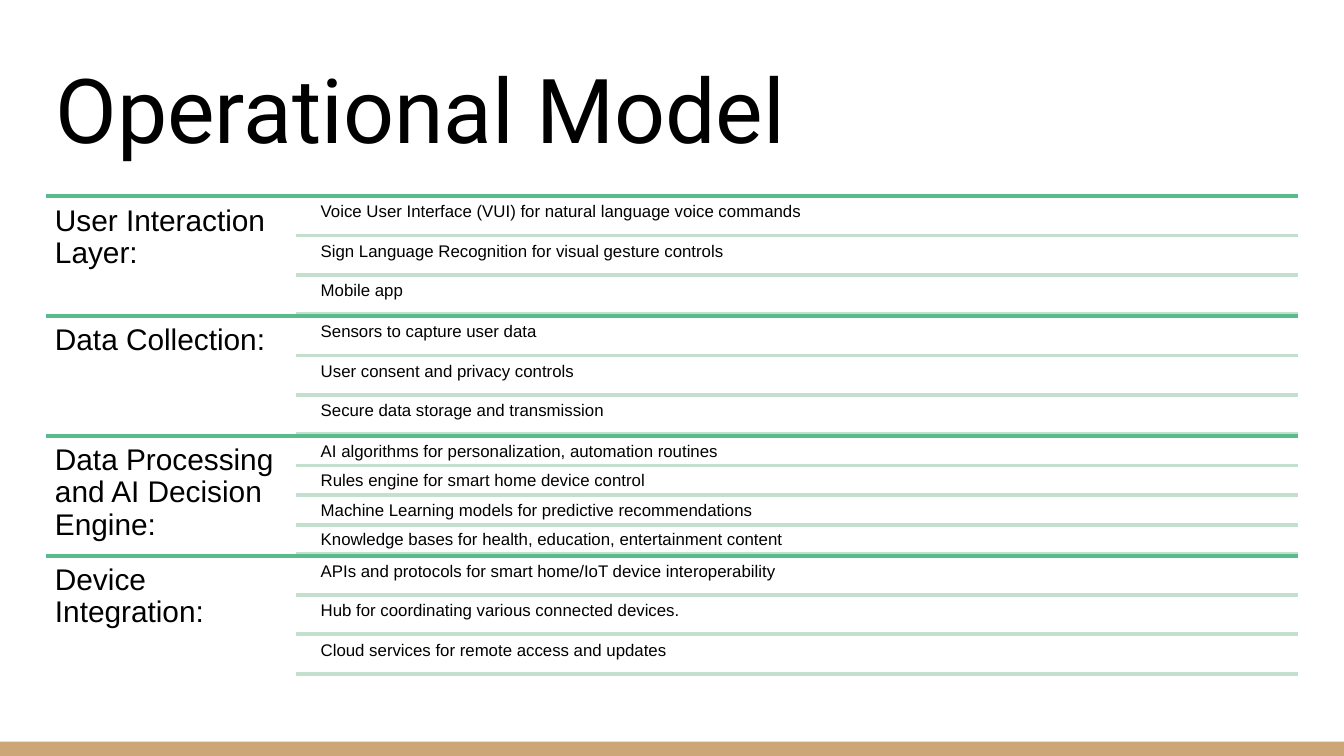
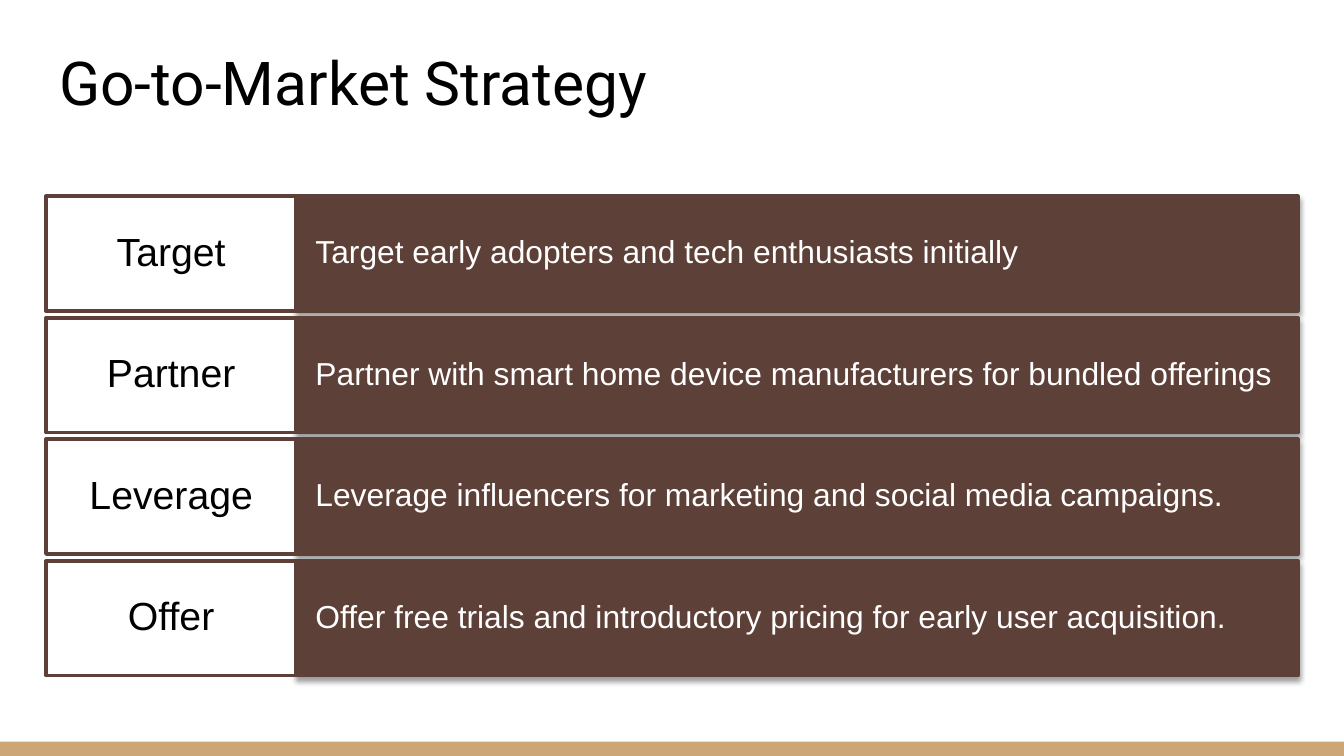
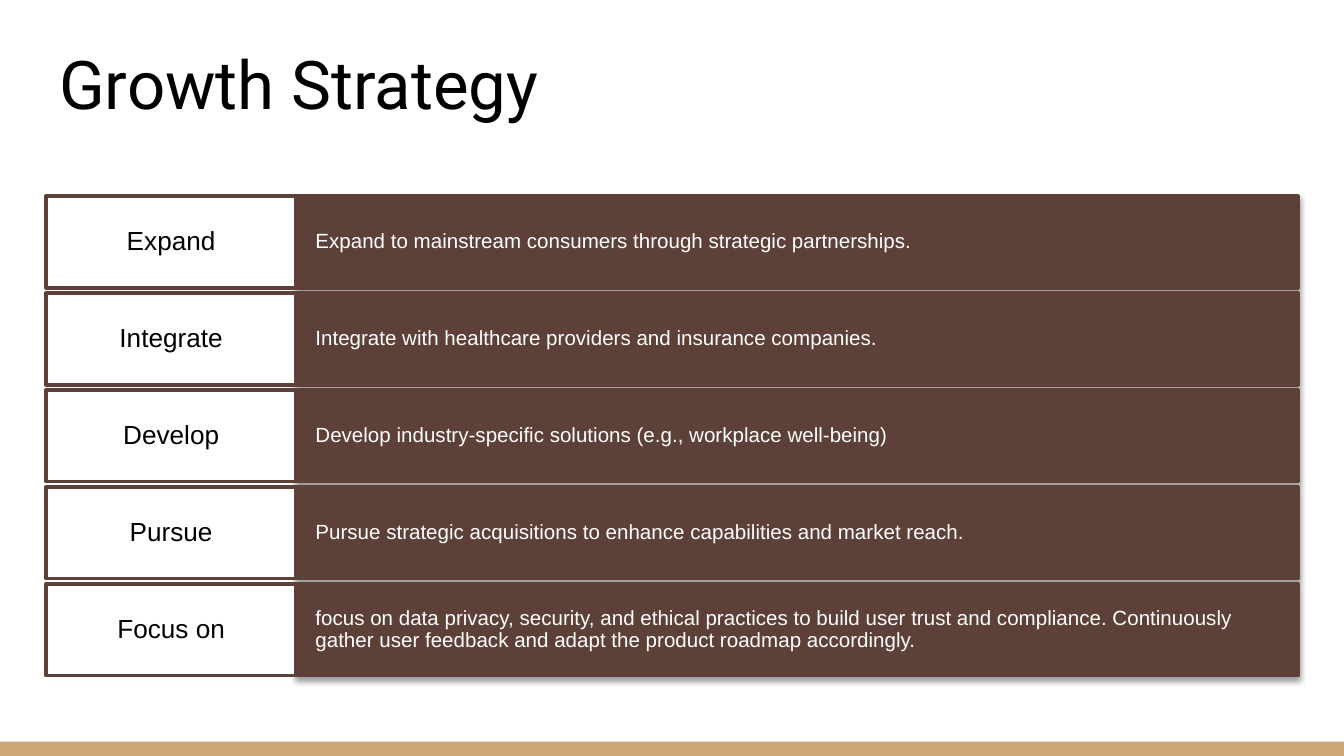
import pptx
import pptx.util
import pptx.dml.color
import pptx.enum.shapes
import pptx.enum.text
import pptx.oxml
import pptx.oxml.ns

Cm, Pt = pptx.util.Cm, pptx.util.Pt
RGBColor = pptx.dml.color.RGBColor
ANCHOR = pptx.enum.text.MSO_ANCHOR
ALIGN = pptx.enum.text.PP_ALIGN
RECT = pptx.enum.shapes.MSO_SHAPE.RECTANGLE
STRAIGHT = pptx.enum.shapes.MSO_CONNECTOR.STRAIGHT

BLACK = RGBColor(0x00, 0x00, 0x00)
WHITE = RGBColor(0xFF, 0xFF, 0xFF)
TAN = RGBColor(0xCC, 0xA6, 0x77)
BROWN = RGBColor(0x5D, 0x40, 0x37)
GREEN = RGBColor(0x57, 0xBB, 0x8A)
PALE_GREEN = RGBColor(0xC3, 0xE0, 0xCF)

SLIDE_W, SLIDE_H = 25.4, 14.29
TITLE_BOX = (0.87, 0.89, 23.67, 2.31)
BODY_BOX = (0.87, 3.71, 23.66, 9.06)
BAND_BOX = (0, 14.02, SLIDE_W, 0.27)
LABEL_SHARE = 0.2

SECTIONS = [
    ("User Interaction Layer:", [
        "Voice User Interface (VUI) for natural language voice commands",
        "Sign Language Recognition for visual gesture controls",
        "Mobile app"]),
    ("Data Collection:", [
        "Sensors to capture user data",
        "User consent and privacy controls",
        "Secure data storage and transmission"]),
    ("Data Processing and AI Decision Engine:", [
        "AI algorithms for personalization, automation routines",
        "Rules engine for smart home device control",
        "Machine Learning models for predictive recommendations",
        "Knowledge bases for health, education, entertainment content"]),
    ("Device Integration:", [
        "APIs and protocols for smart home/IoT device interoperability",
        "Hub for coordinating various connected devices.",
        "Cloud services for remote access and updates"]),
]

MARKET_ROWS = [
    ("Target", "Target early adopters and tech enthusiasts initially"),
    ("Partner", "Partner with smart home device manufacturers for bundled offerings"),
    ("Leverage", "Leverage influencers for marketing and social media campaigns."),
    ("Offer", "Offer free trials and introductory pricing for early user acquisition."),
]

GROWTH_ROWS = [
    ("Expand", "Expand to mainstream consumers through strategic partnerships."),
    ("Integrate", "Integrate with healthcare providers and insurance companies."),
    ("Develop", "Develop industry-specific solutions (e.g., workplace well-being)"),
    ("Pursue", "Pursue strategic acquisitions to enhance capabilities and market reach."),
    ("Focus on", "focus on data privacy, security, and ethical practices to build user "
                 "trust and compliance. Continuously gather user feedback and adapt the "
                 "product roadmap accordingly."),
]


def set_attrs(obj, values):
    for name, value in values.items():
        setattr(obj, name, value)


def write_text(sp, text, size, color=BLACK, font="Arial", inset=(0.1, 0.1),
               anchor=ANCHOR.TOP, align=ALIGN.LEFT, spacing=0.9):
    tf = sp.text_frame
    side, top = Cm(inset[0]), Cm(inset[1])
    set_attrs(tf, {"word_wrap": True, "vertical_anchor": anchor,
                   "margin_left": side, "margin_right": side,
                   "margin_top": top, "margin_bottom": top})
    p = tf.paragraphs[0]
    set_attrs(p, {"alignment": align, "line_spacing": spacing})
    r = p.add_run()
    r.text = text
    set_attrs(r.font, {"name": font, "size": Pt(size)})
    r.font.color.rgb = color


def add_text(s, box, text, size, **style):
    sp = s.shapes.add_textbox(*map(Cm, box))
    write_text(sp, text, size, **style)


def add_rect(s, box, fill, line=None):
    sp = s.shapes.add_shape(RECT, *map(Cm, box))
    sp.shadow.inherit = False
    sp.fill.solid()
    sp.fill.fore_color.rgb = fill
    if line is None:
        sp.line.fill.background()
    else:
        sp.line.color.rgb = line
        sp.line.width = Pt(2)
    return sp


def add_rule(s, left, right, y, color):
    c = s.shapes.add_connector(STRAIGHT, Cm(left), Cm(y), Cm(right), Cm(y))
    c.line.color.rgb = color
    c.line.width = Pt(2)
    pptx.oxml.ns.qn("a:effectLst")
    c._element.spPr.append(pptx.oxml.parse_xml(
        f'<a:effectLst {pptx.oxml.ns.nsdecls("a")}/>'))


def add_soft_shadow(sp):
    effects = sp._element.spPr.find(pptx.oxml.ns.qn("a:effectLst"))
    effects.append(pptx.oxml.parse_xml(
        f'<a:outerShdw {pptx.oxml.ns.nsdecls("a")} blurRad="{Pt(3.1)}" '
        f'dist="{Pt(1.6)}" dir="5400000" rotWithShape="0">'
        '<a:srgbClr val="000000"><a:alpha val="38000"/></a:srgbClr></a:outerShdw>'))


def new_slide(prs, title, size, **style):
    s = prs.slides.add_slide(prs.slide_layouts[6])
    add_rect(s, BAND_BOX, TAN)
    add_text(s, TITLE_BOX, title, size, font="Roboto", **style)
    return s


def add_section(s, box, heading, items):
    left, top, width, height = box
    label_w = width * LABEL_SHARE
    right, items_left = left + width, left + label_w
    add_rule(s, left, right, top, GREEN)
    add_text(s, (left, top, label_w, height), heading, 16, inset=(0.17, 0.17))
    gap_share = 0.05
    item_h = height / (len(items) + (len(items) + 1) * gap_share)
    gap = item_h * gap_share
    indent = 0.36
    for i, item in enumerate(items):
        y = top + gap + i * (item_h + gap)
        add_text(s, (items_left + indent, y, right - items_left - indent, item_h),
                 item, 9)
        add_rule(s, items_left, right, y + item_h, PALE_GREEN)


def add_sections(s, box, sections):
    left, top, width, height = box
    section_h = height / len(sections)
    for i, (heading, items) in enumerate(sections):
        add_section(s, (left, top + i * section_h, width, section_h), heading, items)


def add_action_rows(s, box, rows, label_size, detail_size):
    left, top, width, height = box
    label_w = width * LABEL_SHARE
    gap_share = 0.06
    row_h = height / (len(rows) + (len(rows) - 1) * gap_share)
    for i, (label, detail) in enumerate(rows):
        y = top + i * row_h * (1 + gap_share)
        bar = add_rect(s, (left + label_w, y, width - label_w, row_h), BROWN, BROWN)
        add_soft_shadow(bar)
        write_text(bar, detail, detail_size, color=WHITE,
                   inset=(0.36, row_h / 4), anchor=ANCHOR.MIDDLE)
        tag = add_rect(s, (left, y, label_w, row_h), WHITE, BROWN)
        write_text(tag, label, label_size, inset=(0.25, row_h / 10),
                   anchor=ANCHOR.MIDDLE, align=ALIGN.CENTER)


def main():
    prs = pptx.Presentation()
    set_attrs(prs, {"slide_width": Cm(SLIDE_W), "slide_height": Cm(SLIDE_H)})

    s = new_slide(prs, "Operational Model", 48, inset=(0.18, 0.1),
                  anchor=ANCHOR.MIDDLE, spacing=1.0)
    add_sections(s, BODY_BOX, SECTIONS)

    s = new_slide(prs, "Go-to-Market Strategy", 32.4, inset=(0.25, 0.12))
    add_action_rows(s, BODY_BOX, MARKET_ROWS, 21, 17)

    s = new_slide(prs, "Growth Strategy", 36, inset=(0.25, 0.08))
    add_action_rows(s, BODY_BOX, GROWTH_ROWS, 14, 11)

    prs.save("out.pptx")


if __name__ == "__main__":
    main()
